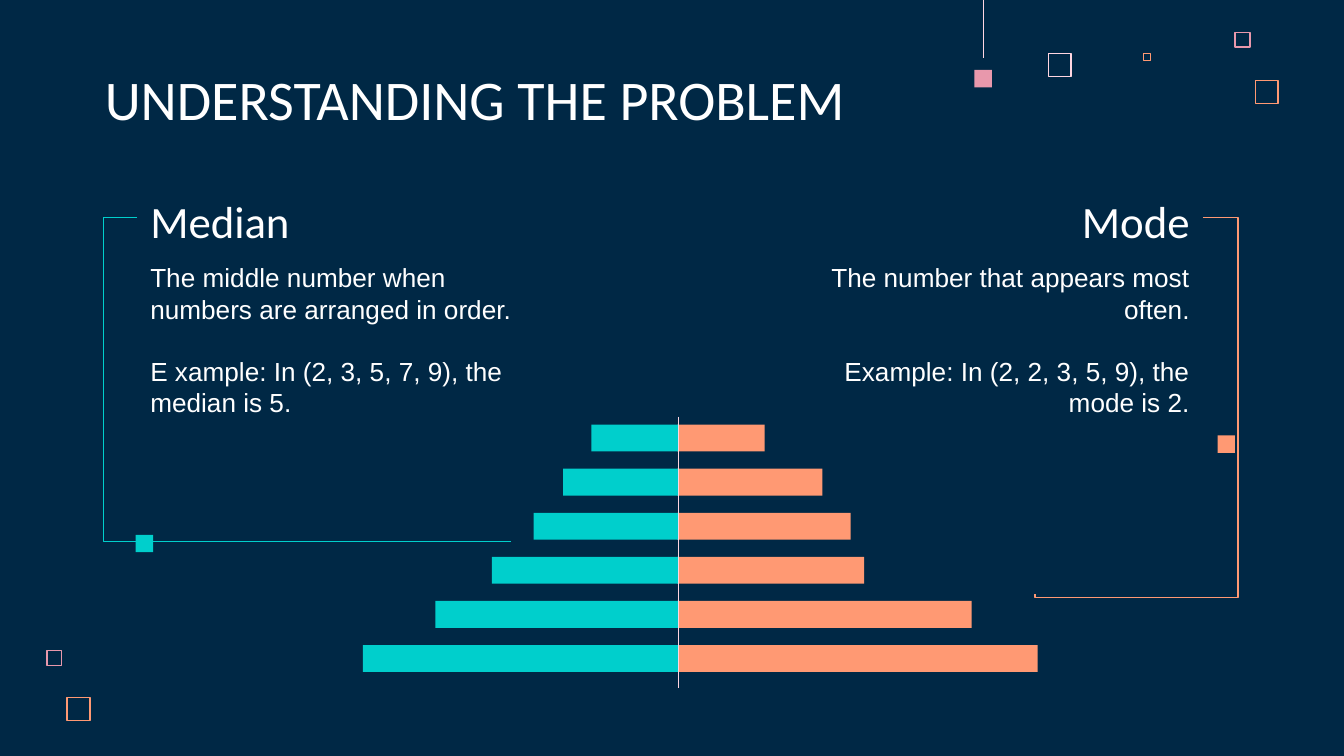
from lxml import etree
from pptx import Presentation
from pptx import util as u
from pptx.dml.color import RGBColor
from pptx.enum import shapes, text
from pptx.oxml.ns import qn

NAVY, WHITE, TEAL, ORANGE, PINK, BLUSH = (
    "002845", "FFFFFF", "00CFCC", "FF9973", "E898AC", "FFD6E1")
CENTER, FIRST_BAR, LAST_BAR, BAR_HEIGHT = 5.05, 3.16, 4.8, 0.2
MEDIAN_BARS = [0.65, 0.86, 1.08, 1.39, 1.81, 2.35]
MODE_BARS = [0.65, 1.08, 1.29, 1.39, 2.19, 2.68]
LEFT, RIGHT = text.PP_ALIGN.LEFT, text.PP_ALIGN.RIGHT


def paint(color_format, value):
    """Set a colour from a hex string."""
    color_format.rgb = RGBColor.from_string(value)


def add_block(slide, left, top, width, height, color):
    """Add a solid rectangle without an outline."""
    block = slide.shapes.add_shape(
        shapes.MSO_SHAPE.RECTANGLE,
        *map(u.Inches, (left, top, width, height)))
    block.shadow.inherit = False
    block.fill.solid()
    paint(block.fill.fore_color, color)
    block.line.fill.background()
    return block


def add_outline(slide, left, top, side, color):
    """Add a hollow square."""
    square = add_block(slide, left, top, side, side, color)
    square.fill.background()
    square.line.width = u.Pt(0.75)
    paint(square.line.color, color)


def add_line(slide, start, end, color, width=0.75, bends=()):
    """Add a straight line, or an elbow line with the given bend ratios."""
    kind = shapes.MSO_CONNECTOR.ELBOW if bends else shapes.MSO_CONNECTOR.STRAIGHT
    line = slide.shapes.add_connector(kind, *map(u.Inches, start + end))
    line.line.width = u.Pt(width)
    paint(line.line.color, color)
    properties = line._element.spPr
    etree.SubElement(properties, qn("a:effectLst"))
    if bends:
        geometry = properties.find(qn("a:prstGeom"))
        geometry.set("prst", f"bentConnector{len(bends) + 2}")
        guides = geometry.find(qn("a:avLst"))
        for number, ratio in enumerate(bends, 1):
            etree.SubElement(guides, qn("a:gd"), name=f"adj{number}",
                             fmla=f"val {round(ratio * 100000)}")


def write(box, place, paragraphs, size, font, align, anchor, spacing=None):
    """Place a text holder and fill it with formatted paragraphs."""
    for name, value in zip(("left", "top", "width", "height"), place):
        setattr(box, name, u.Inches(value))
    frame = box.text_frame
    settings = {"word_wrap": True, "auto_size": text.MSO_AUTO_SIZE.NONE,
                "vertical_anchor": anchor}
    settings.update({f"margin_{side}": u.Inches(0.1)
                     for side in ("left", "top", "right", "bottom")})
    for name, value in settings.items():
        setattr(frame, name, value)
    frame.text = "\n".join(paragraphs)
    for index, paragraph in enumerate(frame.paragraphs):
        paragraph.alignment = align
        if spacing:
            paragraph.line_spacing = u.Pt(spacing)
            paragraph.space_before = u.Pt(spacing if index else 0)
        for name, value in {"size": u.Pt(size), "name": font}.items():
            setattr(paragraph.runs[0].font, name, value)
        paint(paragraph.runs[0].font.color, WHITE)


def add_definition(slide, term, lines, term_place, lines_place, align):
    """Add a term with its explanation below."""
    boxes = [slide.shapes.add_textbox(0, 0, 0, 0) for _ in range(2)]
    write(boxes[0], term_place, [term], 24, "Calibri", align,
          text.MSO_ANCHOR.BOTTOM)
    write(boxes[1], lines_place, lines, 14, "Arial", align,
          text.MSO_ANCHOR.TOP, 16.7)


def add_pyramid(slide):
    """Add the two-sided bar pyramid and its axis."""
    step = (LAST_BAR - FIRST_BAR) / (len(MODE_BARS) - 1)
    for row, (median, mode) in enumerate(zip(MEDIAN_BARS, MODE_BARS)):
        top = FIRST_BAR + row * step
        add_block(slide, CENTER - 0.01, top, mode, BAR_HEIGHT, ORANGE)
        add_block(slide, CENTER - median, top, median, BAR_HEIGHT, TEAL)
    add_line(slide, (CENTER, 3.1), (CENTER, 5.12), BLUSH)


def add_decoration(slide):
    """Add the scattered squares and the hanging line."""
    for left, top, side, color in [
            (7.8, 0.4, 0.17, BLUSH), (9.19, 0.24, 0.11, PINK),
            (8.51, 0.4, 0.05, ORANGE), (9.34, 0.6, 0.17, ORANGE),
            (0.35, 4.84, 0.11, PINK), (0.5, 5.19, 0.17, ORANGE)]:
        add_outline(slide, left, top, side, color)
    add_block(slide, 7.25, 0.52, 0.13, 0.13, PINK)
    add_line(slide, (7.32, 0), (7.32, 0.43), BLUSH, 0.5)


def main():
    """Build the slide and save it."""
    deck = Presentation()
    deck.slide_width = u.Inches(10)
    deck.slide_height = u.Inches(10 * 9 / 16)
    slide = deck.slides.add_slide(deck.slide_layouts[5])
    slide.background.fill.solid()
    paint(slide.background.fill.fore_color, NAVY)
    add_decoration(slide)
    write(slide.shapes.title, (0.68, 0.45, 6.73, 0.63),
          ["UNDERSTANDING THE PROBLEM"], 30, "Calibri", LEFT,
          text.MSO_ANCHOR.BOTTOM)
    add_definition(
        slide, "Median",
        ["The middle number when numbers are arranged in order.",
         "E xample: In (2, 3, 5, 7, 9), the median is 5."],
        (1.02, 1.31, 1.54, 0.63), (1.02, 1.85, 3.17, 1.22), LEFT)
    add_definition(
        slide, "Mode",
        ["The number that appears most often.",
         "Example: In (2, 2, 3, 5, 9), the mode is 2."],
        (7.71, 1.31, 1.24, 0.63), (5.96, 1.85, 2.99, 1.22), RIGHT)
    add_pyramid(slide)
    add_line(slide, (1.02, 1.62), (3.8, 4.03), TEAL, bends=(-0.09,))
    add_line(slide, (8.95, 1.62), (7.7, 4.42), ORANGE, bends=(-0.21, 1.01))
    add_block(slide, 1.01, 3.98, 0.13, 0.13, TEAL)
    add_block(slide, 9.06, 3.24, 0.13, 0.13, ORANGE)
    deck.save("out.pptx")


if __name__ == "__main__":
    main()
